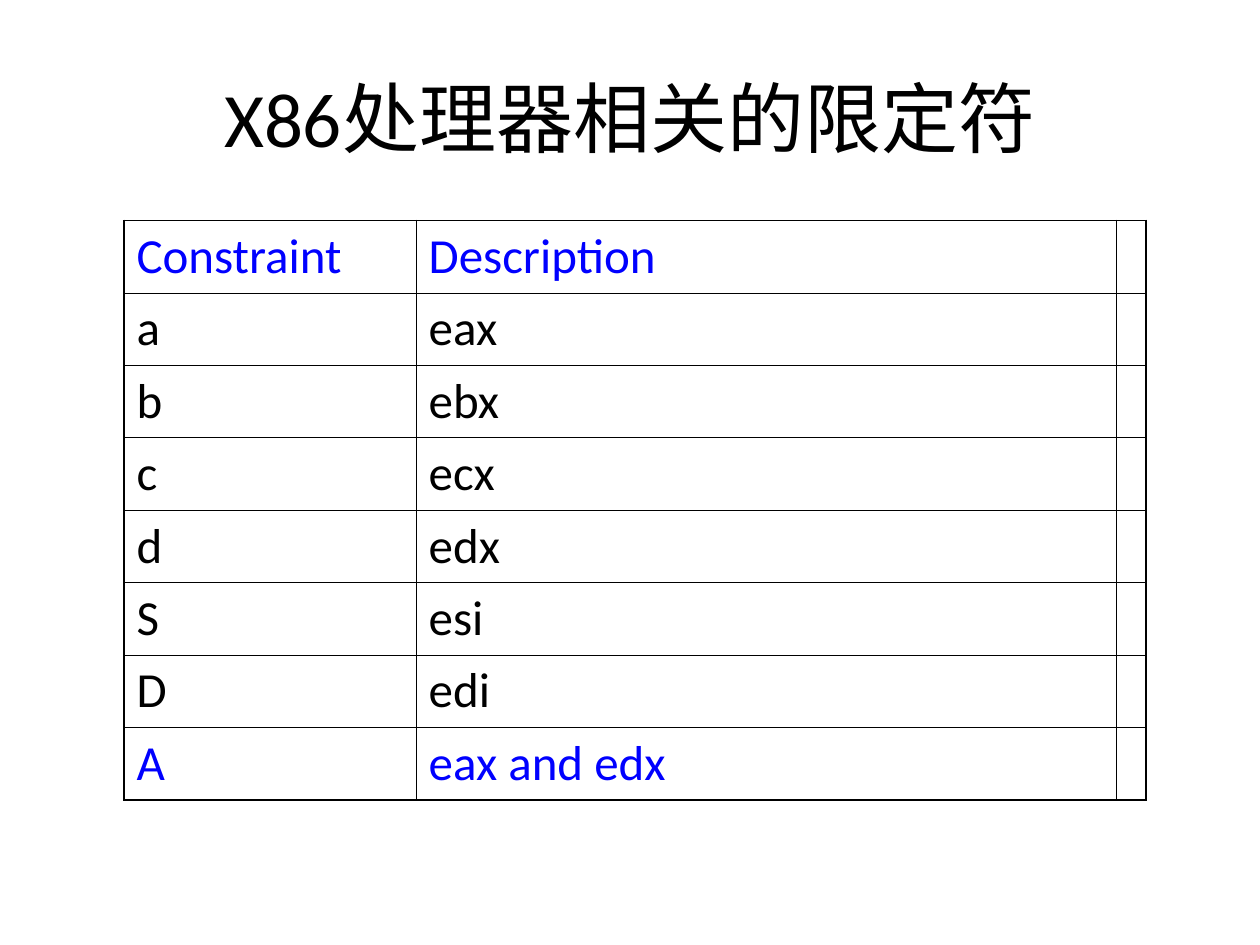
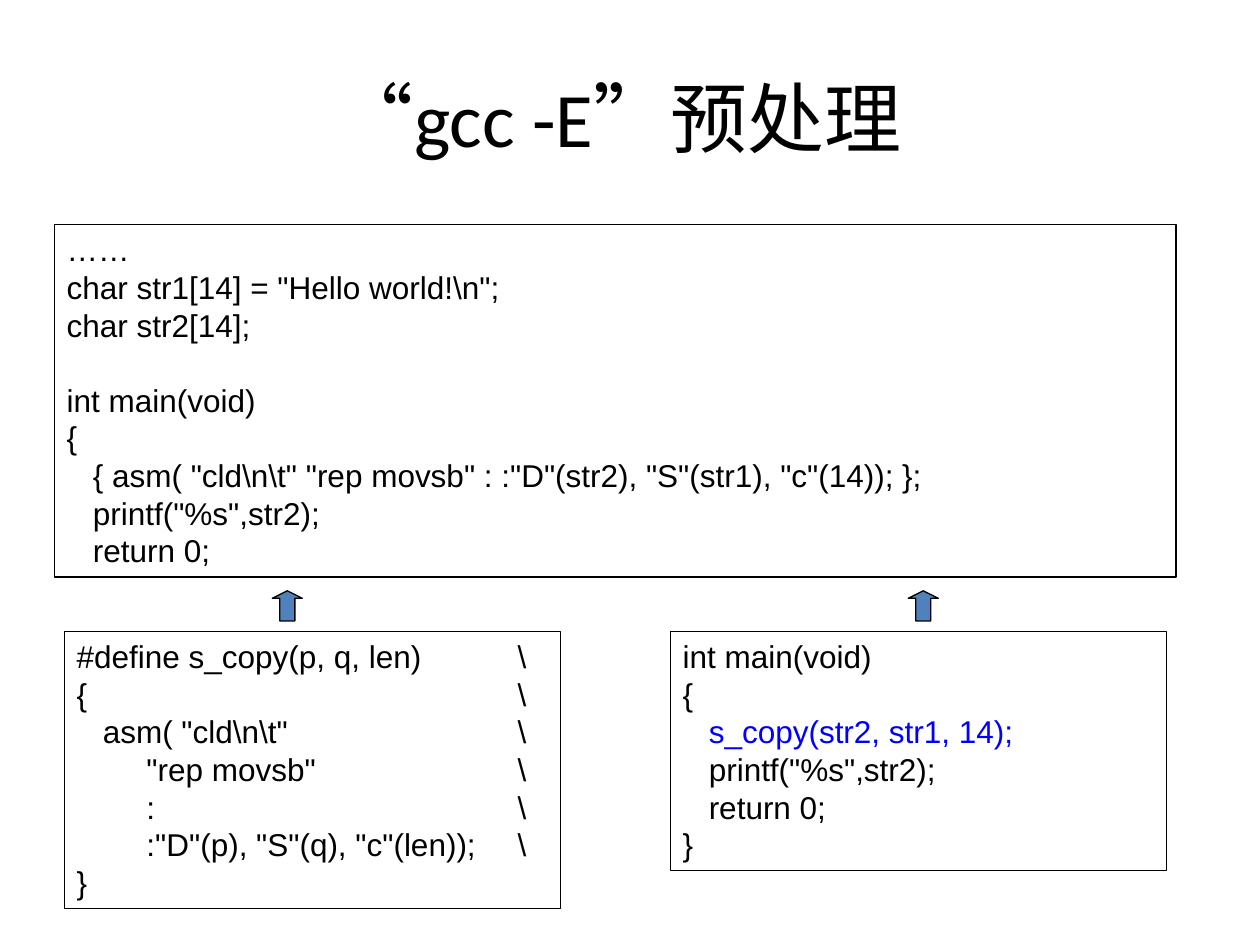
from lxml.etree import SubElement
from pptx import Presentation
from pptx.dml.color import RGBColor
from pptx.enum.shapes import MSO_SHAPE as Shape
from pptx.enum.text import MSO_ANCHOR as Anchor, PP_ALIGN as Align
from pptx.oxml.ns import qn
from pptx.util import Pt

COLOURS = {"text": "000000", "line": "000000", "highlight": "0000FF", "arrow": "4F81BD"}
LINE_HEIGHT = 21.5
BACKSLASH_TAB = 252
THICK, THIN = 1.08, 0.45


def add_run(paragraph, text, size, font_name, colour="text"):
    run = paragraph.add_run()
    run.text = text
    run.font.size = Pt(size)
    run.font.name = font_name
    run.font.color.rgb = RGBColor.from_string(COLOURS[colour])


def add_outlined(slide, kind, left, top, width, height):
    """Add an unfilled preset shape with a thin outline and no shadow."""
    shape = slide.shapes.add_shape(kind, Pt(left), Pt(top), Pt(width), Pt(height))
    shape.shadow.inherit = False
    shape.fill.background()
    shape.line.color.rgb = RGBColor.from_string(COLOURS["line"])
    shape.line.width = Pt(0.75)
    return shape


presentation = Presentation()
presentation.slide_width, presentation.slide_height = Pt(720), Pt(540)

# Slides and their titles
slides = []
for title, title_width in [("X86处理器相关的限定符", 648), ("“gcc -E”预处理", 636)]:
    slide = presentation.slides.add_slide(presentation.slide_layouts[6])
    title_box = slide.shapes.add_textbox(Pt(36), Pt(21.6), Pt(title_width), Pt(90))
    title_box.text_frame.word_wrap = True
    title_box.text_frame.vertical_anchor = Anchor.MIDDLE
    paragraph = title_box.text_frame.paragraphs[0]
    paragraph.alignment = Align.CENTER
    add_run(paragraph, title, 44, "Calibri")
    slides.append(slide)
constraint_slide, preprocess_slide = slides

# Constraint table
constraints = [
    ("Constraint", "Description", ""),
    ("a", "eax", ""),
    ("b", "ebx", ""),
    ("c", "ecx", ""),
    ("d", "edx", ""),
    ("S", "esi", ""),
    ("D", "edi", ""),
    ("A", "eax and edx", ""),
]
column_widths = [167, 400, 17]
row_height = 41.4
last_row, last_column = len(constraints) - 1, len(column_widths) - 1
table = constraint_slide.shapes.add_table(
    len(constraints), len(column_widths), Pt(70.8), Pt(126),
    Pt(sum(column_widths)), Pt(row_height * len(constraints))).table
table.first_row = table.horz_banding = False
for column, width in zip(table.columns, column_widths):
    column.width = Pt(width)
for row_index, texts in enumerate(constraints):
    table.rows[row_index].height = Pt(row_height)
    for column_index, text in enumerate(texts):
        cell = table.cell(row_index, column_index)
        outer_sides = {
            "a:lnL": column_index == 0,
            "a:lnR": column_index == last_column,
            "a:lnT": row_index == 0,
            "a:lnB": row_index == last_row,
        }
        properties = cell._tc.get_or_add_tcPr()
        for side, is_outer in outer_sides.items():
            border = SubElement(properties, qn(side), w=str(Pt(THICK if is_outer else THIN)))
            border_fill = SubElement(border, qn("a:solidFill"))
            SubElement(border_fill, qn("a:srgbClr"), val=COLOURS["line"])
        cell.fill.background()
        if text:
            colour = "highlight" if row_index in (0, last_row) else "text"
            add_run(cell.text_frame.paragraphs[0], text, 28, "Calibri", colour)

# Code boxes: the expanded program above, the macro and its use below
expanded_code = [
    "……",
    'char str1[14] = "Hello world!\\n";',
    "char str2[14];",
    "int main(void)",
    "{",
    '   { asm( "cld\\n\\t" "rep movsb" : :"D"(str2), "S"(str1), "c"(14)); };',
    '   printf("%s",str2);',
    "   return 0;",
]
macro_code = [
    "#define s_copy(p, q, len)\t\\",
    "{\t\\",
    '   asm( "cld\\n\\t"\t\\',
    '        "rep movsb"\t\\',
    "        :\t\\",
    '        :"D"(p), "S"(q), "c"(len));\t\\',
    "}",
]
main_code = [
    "int main(void)",
    "{",
    "   s_copy(str2, str1, 14);",
    '   printf("%s",str2);',
    "   return 0;",
    "}",
]
code_boxes = [
    (31, 128.2, 641, 201.6, expanded_code),
    (36.7, 360.7, 283.7, 158.4, macro_code),
    (383, 360.7, 283.7, 136.8, main_code),
]
for left, top, width, height, lines in code_boxes:
    box = add_outlined(preprocess_slide, Shape.RECTANGLE, left, top, width, height)
    frame = box.text_frame
    frame.word_wrap = True
    frame.vertical_anchor = Anchor.TOP
    for index, line in enumerate(lines):
        paragraph = frame.add_paragraph() if index else frame.paragraphs[0]
        paragraph.alignment = Align.LEFT
        paragraph.line_spacing = Pt(LINE_HEIGHT)
        if index and lines[index - 1] == "char str2[14];":
            paragraph.space_before = Pt(LINE_HEIGHT)
        if "\t" in line:
            tab_list = SubElement(paragraph._p.get_or_add_pPr(), qn("a:tabLst"))
            SubElement(tab_list, qn("a:tab"), pos=str(Pt(BACKSLASH_TAB)), algn="l")
        colour = "highlight" if "s_copy(str2" in line else "text"
        add_run(paragraph, line, 18, "Arial", colour)

# Arrows from the lower boxes up to the expanded program
for left in (155.6, 519):
    arrow = add_outlined(preprocess_slide, Shape.UP_ARROW, left, 337.6, 17.2, 17.2)
    arrow.adjustments[1] = 0.25
    arrow.fill.solid()
    arrow.fill.fore_color.rgb = RGBColor.from_string(COLOURS["arrow"])

presentation.save("out.pptx")
